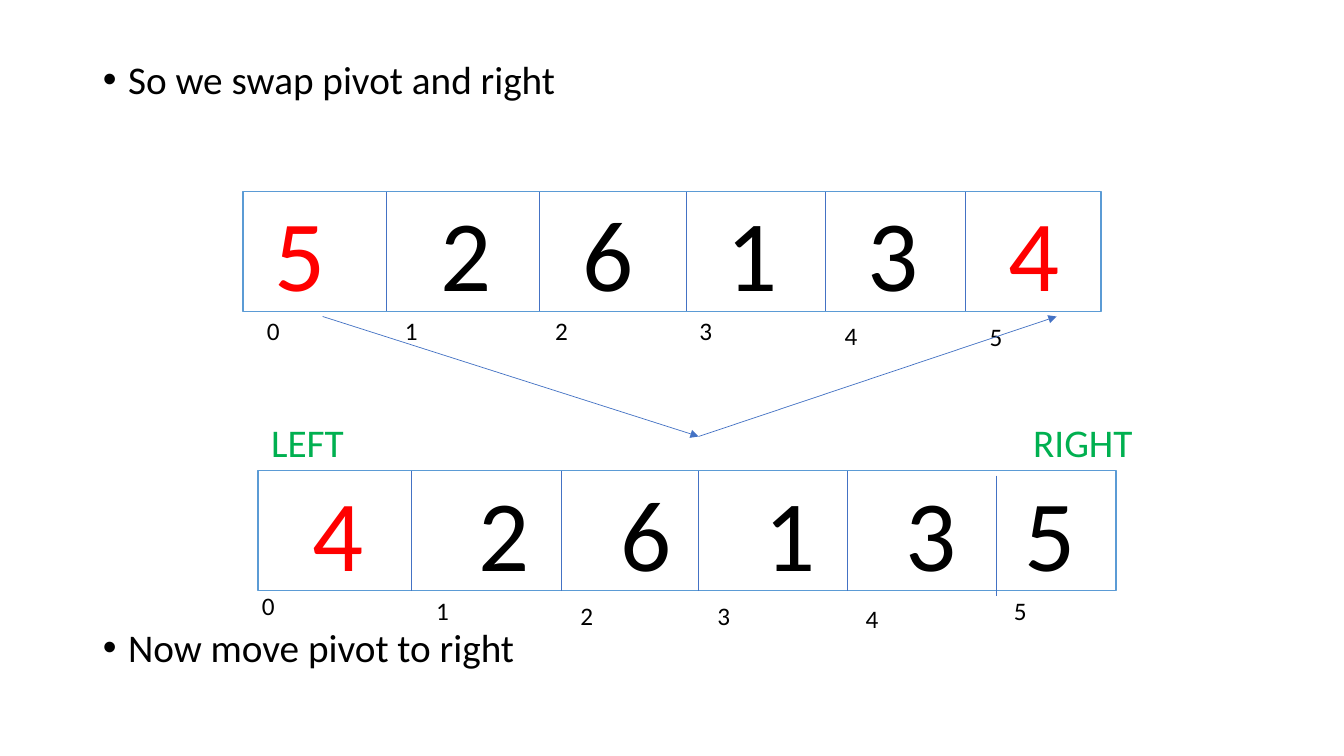
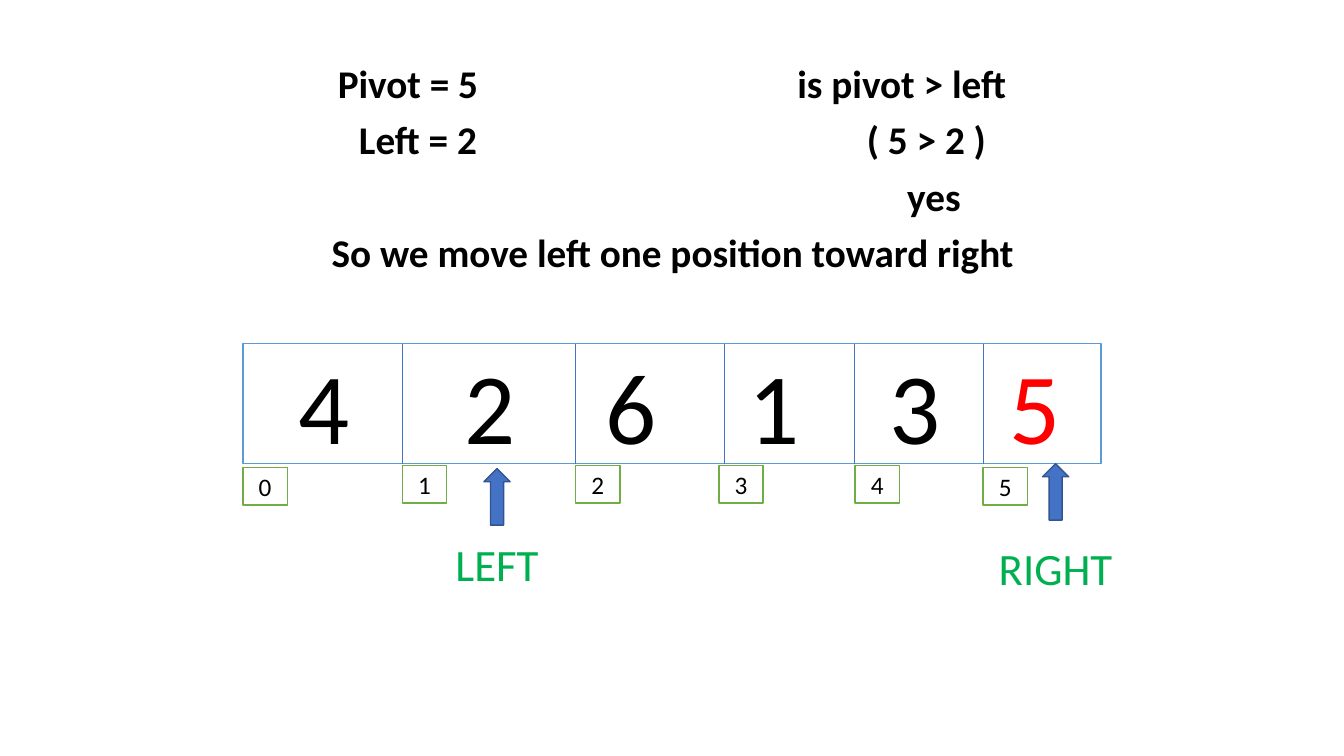
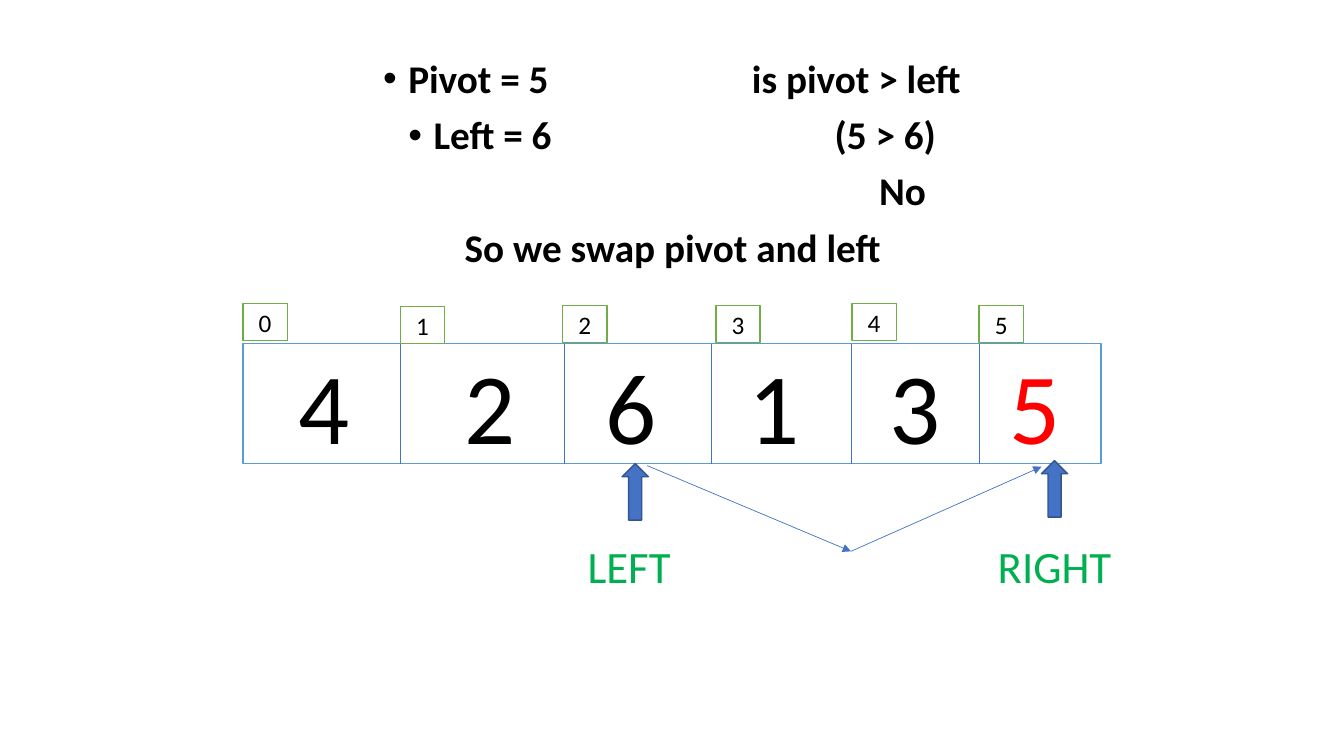
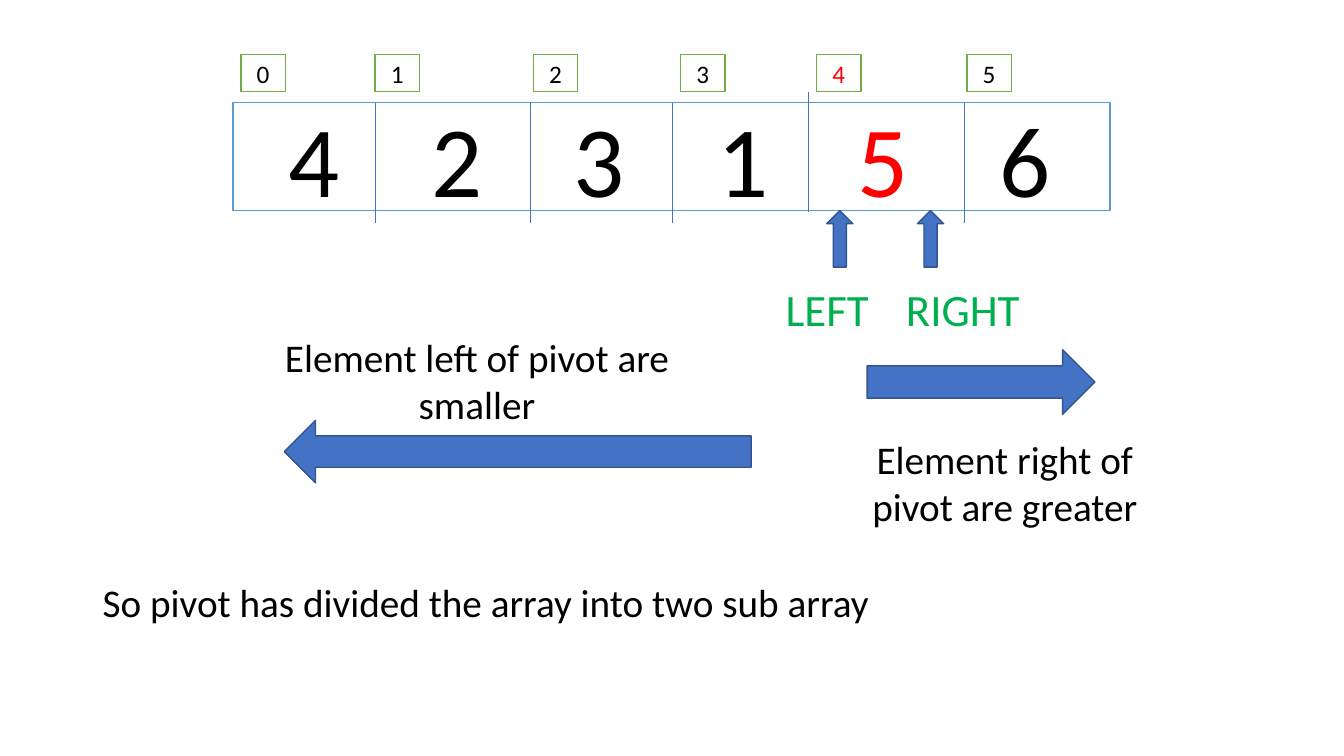
import pptx
import pptx.dml.color
import pptx.enum.shapes
import pptx.enum.text
import pptx.oxml.ns
import pptx.util
import lxml.etree

Inches = pptx.util.Inches
Pt = pptx.util.Pt
SHAPES = pptx.enum.shapes.MSO_SHAPE
ALIGN = pptx.enum.text.PP_ALIGN
ANCHOR = pptx.enum.text.MSO_ANCHOR

# Shared style
FONT = "Calibri"
BLACK, WHITE, RED, GREEN = "000000", "FFFFFF", "FF0000", "00B050"
ARRAY_LINE, INDEX_LINE = "5B9BD5", "70AD47"
BLUE, BLUE_EDGE = "4472C4", "325491"
BODY_SIZE, INDEX_SIZE, MARKER_SIZE, DIGIT_SIZE = 28, 18, 32, 72
DIVIDER_HEIGHT = 1.19
INDEX_BOX = (0.44, 0.37)
INDEX_PLAIN = (0.5, 0.4)
POINTER = (0.26, 0.56)
BODY_BOX = (0.92, 0.59, 11.5, 6.16)
PARA_GAP = 10
LINE_PITCH = 40.4


def colour(value):
    return pptx.dml.color.RGBColor.from_string(value)


def inches(values):
    return [Inches(value) for value in values]


def add_element(parent, tag, **attributes):
    name = pptx.oxml.ns.qn(tag)
    return lxml.etree.SubElement(parent, name, attributes)


def add_span(para, text, size, fill=BLACK, bold=False):
    span = para.add_run()
    span.text = text
    span.font.name = FONT
    span.font.size = Pt(size)
    span.font.bold = bold
    span.font.color.rgb = colour(fill)


def add_shape(page, kind, box, fill, line):
    shape = page.shapes.add_shape(kind, *inches(box))
    shape.shadow.inherit = False
    shape.fill.solid()
    shape.fill.fore_color.rgb = colour(fill)
    shape.line.color.rgb = colour(line)
    shape.line.width = Pt(1)
    return shape


def add_line(page, start, end, arrow=False):
    line = page.shapes.add_connector(
        pptx.enum.shapes.MSO_CONNECTOR.STRAIGHT, *inches(start + end))
    line.line.color.rgb = colour(BLUE)
    line.line.width = Pt(0.5)
    if arrow:
        add_element(line.line._get_or_add_ln(), "a:tailEnd", type="triangle")
    add_element(line._element.spPr, "a:effectLst")


def add_text(page, box, text, size=BODY_SIZE, fill=BLACK, align=ALIGN.CENTER):
    frame = page.shapes.add_textbox(*inches(box)).text_frame
    frame.word_wrap = True
    para = frame.paragraphs[0]
    para.alignment = align
    add_span(para, text, size, fill)


# Paragraphs: each line is (text, indent, space before, bulleted);
# an indent of None centres the line
def fill_lines(frame, lines, spacing, bold):
    frame.word_wrap = True
    frame.auto_size = pptx.enum.text.MSO_AUTO_SIZE.NONE
    frame.vertical_anchor = ANCHOR.TOP
    for number, (text, indent, gap, bulleted) in enumerate(lines):
        para = frame.add_paragraph() if number else frame.paragraphs[0]
        para.alignment = ALIGN.CENTER if indent is None else ALIGN.LEFT
        para.line_spacing = spacing
        para.space_before = Pt(gap if number else 0)
        properties = para._p.get_or_add_pPr()
        properties.set("marL", str(Inches(indent or 0)))
        properties.set("indent", str(Inches(-0.25 if bulleted else 0)))
        if bulleted:
            add_element(properties, "a:buFont", typeface="Arial")
            add_element(properties, "a:buChar", char="•")
        else:
            add_element(properties, "a:buNone")
        add_span(para, text, BODY_SIZE, bold=bold)


def add_body_page(deck, box, lines, spacing=0.9, bold=True):
    page = deck.slides.add_slide(deck.slide_layouts[1])
    title = page.shapes.title._element
    title.getparent().remove(title)
    body = page.placeholders[1]
    body.left, body.top, body.width, body.height = inches(box)
    fill_lines(body.text_frame, lines, spacing, bold)
    return page


# Array: one outlined box, digits on centred tabs, divider lines
def add_array(page, box, digits, centres, dividers, red=(), shifts=None):
    left, top = box[:2]
    array = add_shape(page, SHAPES.RECTANGLE, box, WHITE, ARRAY_LINE)
    frame = array.text_frame
    frame.word_wrap = True
    frame.vertical_anchor = ANCHOR.MIDDLE
    frame.margin_left = frame.margin_right = 0
    frame.margin_top = frame.margin_bottom = 0
    para = frame.paragraphs[0]
    para.alignment = ALIGN.LEFT
    tabs = add_element(para._p.get_or_add_pPr(), "a:tabLst")
    for digit, centre in zip(digits, centres):
        add_element(tabs, "a:tab", pos=str(Inches(centre)), algn="ctr")
        add_span(para, "\t" + digit, DIGIT_SIZE, RED if digit in red else BLACK)
    for number, offset in enumerate(dividers):
        x = left + offset
        y = top + (shifts or {}).get(number, 0)
        add_line(page, (x, y), (x, y + DIVIDER_HEIGHT))


# Index numbers, placed relative to their array
def add_indexes(page, box, offsets, boxed=True, red=None):
    for number, (across, down) in enumerate(offsets):
        place = (box[0] + across, box[1] + down)
        fill = RED if number == red else BLACK
        if not boxed:
            add_text(page, place + INDEX_PLAIN, str(number), INDEX_SIZE, fill)
            continue
        label = add_shape(page, SHAPES.RECTANGLE, place + INDEX_BOX,
                          WHITE, INDEX_LINE)
        frame = label.text_frame
        frame.vertical_anchor = ANCHOR.MIDDLE
        para = frame.paragraphs[0]
        para.alignment = ALIGN.CENTER
        add_span(para, str(number), INDEX_SIZE, fill)


def add_marker(page, text, box, pointer):
    add_shape(page, SHAPES.UP_ARROW, pointer + POINTER, BLUE, BLUE_EDGE)
    add_text(page, box, text, MARKER_SIZE, GREEN)


def add_swap(page, start, turn, end):
    add_line(page, start, turn, arrow=True)
    add_line(page, turn, end, arrow=True)


# Slide 1: swap pivot and right
def build_swap_right(deck):
    page = add_body_page(deck, BODY_BOX, [
        ("So we swap pivot and right", 0.25, 0, True),
        ("Now move pivot to right", 0.25, 379, True),
    ], spacing=0.8, bold=False)
    before = (2.41, 1.9, 8.51, 1.19)
    add_array(page, before, "526134", (0.57, 2.21, 3.62, 5.05, 6.45, 7.85),
              (1.42, 2.94, 4.4, 5.78, 7.16), red="54")
    add_indexes(page, before, [(0.05, 1.18), (1.42, 1.18), (2.91, 1.18),
                               (4.34, 1.18), (5.78, 1.23), (7.22, 1.24)],
                boxed=False)
    add_swap(page, (3.2, 3.14), (6.93, 4.33), (10.48, 3.14))
    after = (2.56, 4.67, 8.51, 1.19)
    add_array(page, after, "426135", (0.79, 2.44, 3.85, 5.28, 6.67, 7.85),
              (1.52, 3.01, 4.37, 5.84, 7.32), red="4", shifts={4: 0.05})
    add_indexes(page, after, [(-0.15, 1.14), (1.58, 1.19), (3.01, 1.24),
                              (4.37, 1.24), (5.84, 1.27), (7.31, 1.19)],
                boxed=False)
    for text, left in (("LEFT", 2.3), ("RIGHT", 9.99)):
        add_text(page, (left, 4.1, 1.5, 0.57), text, fill=GREEN)


# Slides 2 and 3: compare pivot with left
def build_comparison(deck, box, facts, test, conclusion, bulleted, dividers):
    lines = [(text, indent, PARA_GAP, bulleted) for text, indent in facts]
    lines.append((conclusion, None, PARA_GAP + LINE_PITCH, False))
    page = add_body_page(deck, box, lines)
    question = page.shapes.add_textbox(*inches((7, box[1], 5, 1.8)))
    fill_lines(question.text_frame,
               [(text, indent, PARA_GAP, False) for text, indent in test],
               0.9, True)
    array = (2.41, 3.41, 8.51, 1.19)
    add_array(page, array, "426135", (0.8, 2.45, 3.85, 5.27, 6.67, 7.86),
              dividers, red="5")
    return page, array


def build_move_left(deck):
    page, array = build_comparison(
        deck, BODY_BOX,
        [("Pivot = 5", 2.33), ("Left = 2", 2.54)],
        [("is pivot > left", 0.81), ("( 5 > 2 )", 1.5), ("yes", 1.9)],
        "So we move left one position toward right", False,
        (1.58, 3.3, 4.77, 6.06, 7.34))
    add_indexes(page, array, [(0, 1.23), (1.58, 1.21), (3.3, 1.21),
                              (4.72, 1.21), (6.07, 1.21), (7.34, 1.23)])
    add_marker(page, "LEFT", (4.29, 5.28, 1.28, 0.64), (4.8, 4.65))
    add_marker(page, "RIGHT", (9.68, 5.32, 1.58, 0.64), (10.34, 4.6))


def build_swap_left(deck):
    page, array = build_comparison(
        deck, (0.92, 0.54, 11.5, 6.22),
        [("Pivot = 5", 3.03), ("Left = 6", 3.28)],
        [("is pivot > left", 0.36), ("(5 > 6)", 1.18), ("No", 1.62)],
        "So we swap pivot and left", True,
        (1.56, 3.19, 4.65, 6.03, 7.3))
    add_marker(page, "LEFT", (5.6, 5.3, 1.28, 0.64), (6.17, 4.6))
    add_marker(page, "RIGHT", (9.67, 5.3, 1.58, 0.64), (10.33, 4.57))
    add_indexes(page, array, [(0, -0.4), (1.56, -0.37), (3.17, -0.38),
                              (4.69, -0.38), (6.04, -0.4), (7.3, -0.38)])
    add_swap(page, (6.42, 4.62), (8.44, 5.47), (10.33, 4.63))


# Slide 4: the pivot splits the array
def build_result(deck):
    page = deck.slides.add_slide(deck.slide_layouts[6])
    array = (2.31, 1.02, 8.7, 1.07)
    add_array(page, array, "423156", (0.81, 2.22, 3.63, 5.06, 6.45, 7.86),
              (1.41, 2.95, 4.36, 5.71, 7.25), red="5", shifts={3: -0.11})
    add_indexes(page, array, [(across, -0.48) for across in
                              (0.08, 1.41, 2.98, 4.44, 5.79, 7.28)], red=4)
    add_marker(page, "LEFT", (7.65, 2.75, 1.11, 0.64), (8.2, 2.09))
    add_marker(page, "RIGHT", (8.76, 2.75, 1.58, 0.64), (9.1, 2.09))
    add_shape(page, SHAPES.LEFT_ARROW, (2.82, 4.17, 4.63, 0.62),
              BLUE, BLUE_EDGE)
    add_shape(page, SHAPES.RIGHT_ARROW, (8.6, 3.47, 2.26, 0.64),
              BLUE, BLUE_EDGE)
    add_text(page, (2.32, 3.26, 4.82, 1.04),
             "Element left of pivot are smaller")
    add_text(page, (8.24, 4.27, 3.45, 1.04),
             "Element right of pivot are greater")
    add_text(page, (0.92, 5.69, 11.5, 0.57),
             "So pivot has divided the array into two sub array",
             align=ALIGN.LEFT)


def main():
    deck = pptx.Presentation()
    deck.slide_width, deck.slide_height = Inches(13.33), Inches(7.5)
    build_swap_right(deck)
    build_move_left(deck)
    build_swap_left(deck)
    build_result(deck)
    deck.save("out.pptx")


if __name__ == "__main__":
    main()
